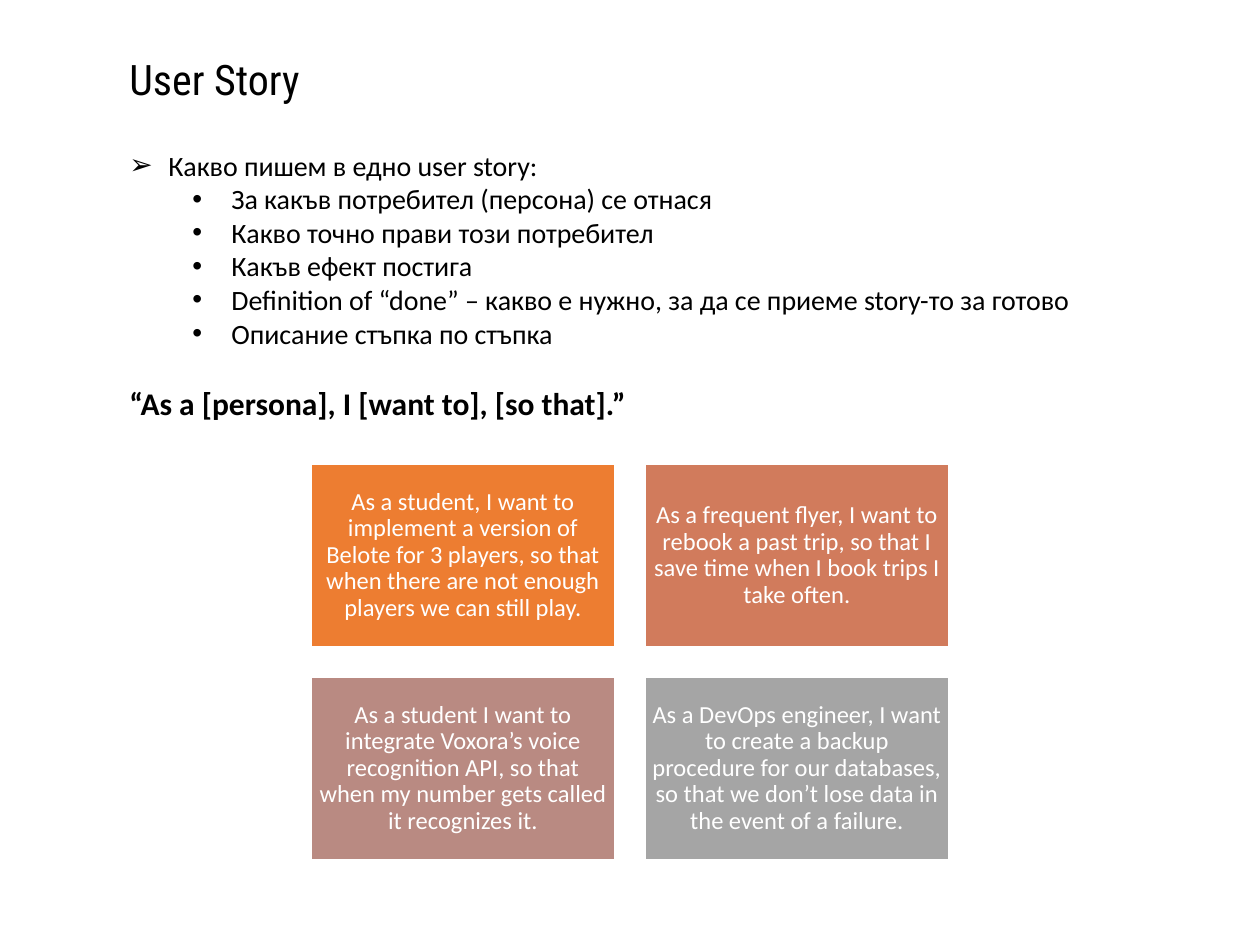
from dataclasses import dataclass

from lxml.etree import SubElement
from pptx import Presentation
from pptx.dml.color import RGBColor
from pptx.enum.shapes import MSO_SHAPE
from pptx.enum.text import MSO_ANCHOR, MSO_AUTO_SIZE, PP_ALIGN
from pptx.oxml.ns import qn
from pptx.util import Pt

EMU_PER_PX = 914400 / 126

BLACK = RGBColor(0x00, 0x00, 0x00)
WHITE = RGBColor(0xFF, 0xFF, 0xFF)
ORANGE = RGBColor(0xED, 0x7D, 0x31)
TERRACOTTA = RGBColor(0xD1, 0x7B, 0x5C)
ROSE = RGBColor(0xB9, 0x8A, 0x82)
GREY = RGBColor(0xA5, 0xA5, 0xA5)

TITLE_FONT = {"name": "Roboto Condensed", "size": Pt(24)}
POINT_FONT = {"name": "Calibri", "size": Pt(16)}
TEMPLATE_FONT = {"name": "Calibri", "size": Pt(18), "bold": True}
CARD_FONT = {"name": "Calibri", "size": Pt(14)}

LEFT, WIDTH = 117, 1099
HANGING = 39
CARD_LEFT, CARD_TOP = 311, 464
CARD_WIDTH, CARD_HEIGHT, CARD_GAP = 304, 183, 30
CARD_COLUMNS = 2


@dataclass(frozen=True)
class Line:
    text: str
    font: dict
    level: int = 0
    bullet: str = ""
    indent: int = 0
    space_before: float = 0
    alignment: PP_ALIGN = PP_ALIGN.JUSTIFY


@dataclass(frozen=True)
class StoryCard:
    text: str
    fill: RGBColor


TITLE = Line("User Story", TITLE_FONT, alignment=PP_ALIGN.LEFT)
CONTENTS = [
    "За какъв потребител (персона) се отнася",
    "Какво точно прави този потребител",
    "Какъв ефект постига",
    "Definition of “done” – какво е нужно, за да се приеме story-то за готово",
    "Описание стъпка по стъпка",
]
BODY = [
    Line("Какво пишем в едно user story:", POINT_FONT, bullet="➢", indent=HANGING),
    *(Line(text, POINT_FONT, level=1, bullet="•", indent=102) for text in CONTENTS),
    Line("“As a [persona], I [want to], [so that].”", TEMPLATE_FONT, space_before=19.5),
]
STORY_CARDS = [
    StoryCard("As a student, I want to implement a version of Belote for 3 players, "
              "so that when there are not enough players we can still play.", ORANGE),
    StoryCard("As a frequent flyer, I want to rebook a past trip, "
              "so that I save time when I book trips I take often.", TERRACOTTA),
    StoryCard("As a student I want to integrate Voxora’s voice recognition API, "
              "so that when my number gets called it recognizes it.", ROSE),
    StoryCard("As a DevOps engineer, I want to create a backup procedure for our databases, "
              "so that we don’t lose data in the event of a failure.", GREY),
]


def px(length: int) -> int:
    return round(length * EMU_PER_PX)


def apply(target, values: dict) -> None:
    for name, value in values.items():
        setattr(target, name, value)


def write(paragraph, text: str, font: dict, color: RGBColor) -> None:
    run = paragraph.add_run()
    run.text = text
    apply(run.font, font)
    run.font.color.rgb = color


def add_bullet(paragraph, line: Line) -> None:
    properties = paragraph._p.get_or_add_pPr()
    properties.set("marL", str(px(line.indent)))
    properties.set("indent", str(-px(HANGING)))
    SubElement(properties, qn("a:buFont")).set("typeface", "Arial")
    SubElement(properties, qn("a:buChar")).set("char", line.bullet)


def add_text(slide, top: int, height: int, lines: list[Line]) -> None:
    frame = slide.shapes.add_textbox(px(LEFT), px(top), px(WIDTH), px(height)).text_frame
    apply(frame, {"word_wrap": True, "auto_size": MSO_AUTO_SIZE.SHAPE_TO_FIT_TEXT})
    for index, line in enumerate(lines):
        paragraph = frame.add_paragraph() if index else frame.paragraphs[0]
        apply(paragraph, {"alignment": line.alignment, "level": line.level,
                          "space_before": Pt(line.space_before)})
        if line.bullet:
            add_bullet(paragraph, line)
        write(paragraph, line.text, line.font, BLACK)


def add_card(slide, index: int, story: StoryCard) -> None:
    row, column = divmod(index, CARD_COLUMNS)
    card = slide.shapes.add_shape(
        MSO_SHAPE.RECTANGLE,
        px(CARD_LEFT + column * (CARD_WIDTH + CARD_GAP)),
        px(CARD_TOP + row * (CARD_HEIGHT + CARD_GAP)),
        px(CARD_WIDTH), px(CARD_HEIGHT))
    card.shadow.inherit = False
    card.fill.solid()
    card.fill.fore_color.rgb = story.fill
    card.line.color.rgb = WHITE
    card.line.width = Pt(1)
    sides = ("left", "top", "right", "bottom")
    apply(card.text_frame, {
        "word_wrap": True,
        "vertical_anchor": MSO_ANCHOR.MIDDLE,
        **{f"margin_{side}": px(7) for side in sides},
    })
    paragraph = card.text_frame.paragraphs[0]
    apply(paragraph, {"alignment": PP_ALIGN.CENTER, "line_spacing": 0.9})
    write(paragraph, story.text, CARD_FONT, WHITE)


def main() -> None:
    presentation = Presentation()
    apply(presentation, {"slide_width": px(1260), "slide_height": px(945)})
    slide = presentation.slides.add_slide(presentation.slide_layouts[6])

    # Title and explanation
    add_text(slide, 47, 63, [TITLE])
    add_text(slide, 142, 289, BODY)

    # Grid of example stories
    for index, story in enumerate(STORY_CARDS):
        add_card(slide, index, story)

    presentation.save("out.pptx")


if __name__ == "__main__":
    main()
